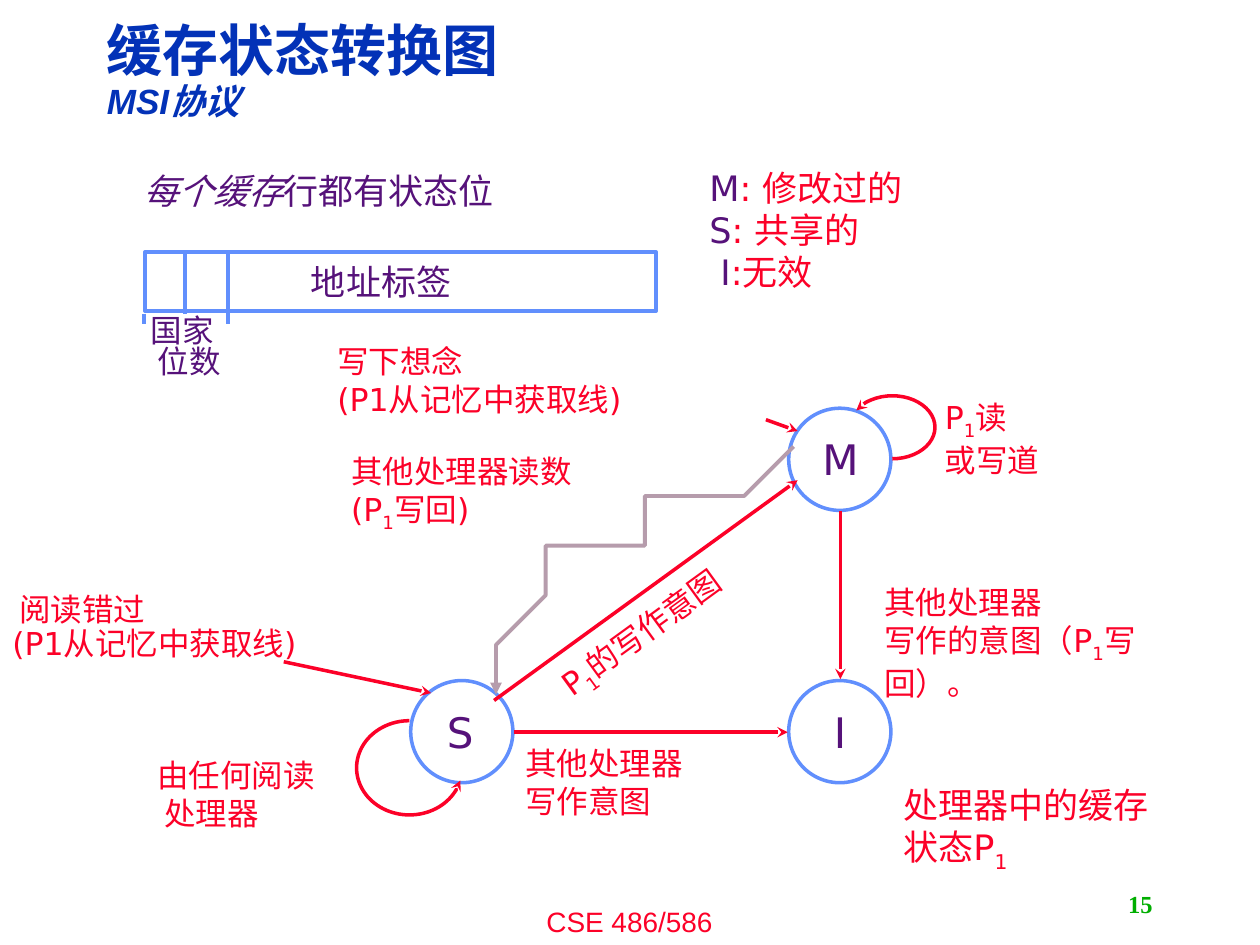
from dataclasses import dataclass
from typing import NamedTuple

from lxml.etree import SubElement
from pptx import Presentation
from pptx.dml.color import RGBColor
from pptx.enum.shapes import MSO_CONNECTOR as Connector, MSO_SHAPE as Shape
from pptx.enum.text import MSO_ANCHOR as Anchor, MSO_AUTO_SIZE as AutoSize, PP_ALIGN as Align
from pptx.oxml.ns import qn
from pptx.util import Cm, Pt

RED, PURPLE, BLUE, NAVY = "FC0128", "56127A", "618FFD", "0332B7"
GREEN, MAUVE, WHITE = "00AE00", "B69CAC", "FFFFFF"
BODY_FONT = "DejaVu Sans"
STATE_SIZE = 2.06


class Run(NamedTuple):
    text: str
    color: str = ""
    italic: bool = False
    subscript: bool = False


@dataclass
class Label:
    box: tuple[float, float, float, float]
    paragraphs: list[list[Run]]
    size: float = 18
    color: str = RED
    wrap: bool = False
    line_spacing: float = 1.0
    rotation: float = 0


@dataclass
class State:
    name: str
    left: float
    top: float
    label_box: tuple[float, float, float, float]


@dataclass
class Line:
    start: tuple[float, float]
    end: tuple[float, float]
    color: str = RED
    arrow: bool = True


@dataclass
class Loop:
    """Arc of an ellipse; angles run clockwise from the right, in degrees."""
    box: tuple[float, float, float, float]
    start_angle: float
    end_angle: float


def rgb(color: str) -> RGBColor:
    return RGBColor.from_string(color)


def plain(*lines: str) -> list[list[Run]]:
    return [[Run(line)] for line in lines]


def p1(before: str = "", after: str = "") -> list[Run]:
    """Runs that name processor P1 with a subscript, between two texts."""
    runs = [Run(before + "P"), Run("1", subscript=True)]
    return runs + [Run(after)] if after else runs


def add_text(slide, box, paragraphs, *, size=18, color=RED, font=BODY_FONT, bold=False,
             wrap=False, line_spacing=1.0, align=Align.LEFT, anchor=Anchor.TOP, rotation=0,
             grow=True):
    shape = slide.shapes.add_textbox(*map(Cm, box))
    shape.rotation = rotation
    frame = shape.text_frame
    frame.word_wrap = wrap
    frame.auto_size = AutoSize.SHAPE_TO_FIT_TEXT if grow else AutoSize.NONE
    frame.vertical_anchor = anchor
    for index, runs in enumerate(paragraphs):
        paragraph = frame.paragraphs[0] if index == 0 else frame.add_paragraph()
        paragraph.alignment = align
        paragraph.line_spacing = line_spacing
        for part in runs:
            run = paragraph.add_run()
            run.text = part.text
            run.font.name, run.font.size = font, Pt(size)
            run.font.bold, run.font.italic = bold, part.italic
            run.font.color.rgb = rgb(part.color or color)
            if part.subscript:
                run.font._element.set("baseline", "-25000")
    return shape


def style_line(shape, color: str, width: float = 2, arrow_end: str = "", arrow: str = "stealth"):
    """Set the outline; arrow_end is headEnd (at the start) or tailEnd (at the end)."""
    shape.line.color.rgb = rgb(color)
    shape.line.width = Pt(width)
    if arrow_end:
        SubElement(shape.line._get_or_add_ln(), qn(f"a:{arrow_end}"), type=arrow)


def add_line(slide, line: Line):
    connector = slide.shapes.add_connector(
        Connector.STRAIGHT, *map(Cm, line.start + line.end))
    style_line(connector, line.color, arrow_end="tailEnd" if line.arrow else "")
    SubElement(connector._element.spPr, qn("a:effectLst"))


def add_outlined(slide, kind, box):
    shape = slide.shapes.add_shape(kind, *map(Cm, box))
    shape.shadow.inherit = False
    shape.fill.solid()
    shape.fill.fore_color.rgb = rgb(WHITE)
    style_line(shape, BLUE)


def add_loop(slide, loop: Loop):
    arc = slide.shapes.add_shape(Shape.ARC, *map(Cm, loop.box))
    arc.shadow.inherit = False
    arc.fill.background()
    for index, angle in enumerate((loop.start_angle, loop.end_angle)):
        arc.adjustments[index] = angle * 0.6  # 60000 units a degree, scaled by 100000
    style_line(arc, RED, arrow_end="headEnd")


def bezier(points, steps: int = 16):
    """Points along a cubic curve, without its first."""
    for step in range(1, steps + 1):
        t = step / steps
        weights = ((1 - t) ** 3, 3 * t * (1 - t) ** 2, 3 * t * t * (1 - t), t ** 3)
        yield tuple(sum(w * p[axis] for w, p in zip(weights, points)) for axis in (0, 1))


def add_curve(slide, points):
    """Draw joined cubic curves, with an arrowhead at the first point."""
    builder = slide.shapes.build_freeform(*points[0], scale=Cm(1))
    for first in range(0, len(points) - 1, 3):
        builder.add_line_segments(list(bezier(points[first:first + 4])), close=False)
    curve = builder.convert_to_shape()
    curve.shadow.inherit = False
    curve.fill.background()
    style_line(curve, MAUVE, 2.25, "headEnd", "triangle")


def format_title(title):
    title.left, title.top, title.width, title.height = map(Cm, (1.9, 0.43, 20.27, 2.06))
    frame = title.text_frame
    frame.vertical_anchor = Anchor.MIDDLE
    frame.auto_size = AutoSize.NONE
    paragraph = frame.paragraphs[0]
    paragraph.alignment = Align.LEFT
    paragraph.line_spacing = 0.9
    for text, size, italic in (("缓存状态转换图", 32, False), ("MSI协议", 20, True)):
        if paragraph.runs:
            paragraph.add_line_break()
        run = paragraph.add_run()
        run.text = text
        run.font.name, run.font.size = "Arial", Pt(size)
        run.font.bold, run.font.italic = True, italic
        run.font.color.rgb = rgb(NAVY)


STATES = [
    State("M", 15.9, 8.23, (16.33, 8.61, 1.22, 1.27)),
    State("S", 8.28, 13.72, (8.76, 14.12, 1.09, 1.27)),
    State("I", 15.9, 13.72, (16.56, 14.12, 0.86, 1.27)),
]
LABELS = [
    Label((14.05, 3.23, 4.62, 2.79),
          [[Run("M", PURPLE), Run(": 修改过的")], [Run("S", PURPLE), Run(": 共享的")],
           [Run(" I", PURPLE), Run(":无效")]], 20),
    Label((2.64, 3.3, 11.15, 1.12), [[Run("每个缓存", italic=True), Run("行都有状态位")]],
          20, PURPLE),
    Label((6.02, 5.13, 4.72, 1.09), plain("地址标签"), 20, PURPLE),
    Label((2.79, 6.3, 2.11, 1.47), plain("国家", " 位数"), color=PURPLE, line_spacing=0.8),
    Label((6.55, 6.78, 9.53, 2.57), plain("写下想念", "(P1从记忆中获取线)"), wrap=True),
    Label((17.58, 11.63, 6.17, 2.57), plain("其他处理器") + [p1("写作的意图（", "写回）。")],
          wrap=True),
    Label((0, 11.86, 9.53, 1.65), plain(" 阅读错过", "(P1从记忆中获取线)"), wrap=True,
          line_spacing=0.9),
    Label((10.62, 11.76, 5.92, 1.02), [p1(after="的写作意图")], rotation=324),
    Label((10.34, 14.88, 5.61, 1.78), plain("其他处理器", "写作意图")),
    Label((2.92, 15.11, 4.5, 1.78), plain("由任何阅读", " 处理器")),
    Label((18.8, 7.9, 3.33, 1.78), [p1(after="读")] + plain("或写道")),
    Label((17.96, 15.67, 6.07, 1.96), [p1("处理器中的缓存状态")], 20, wrap=True),
    Label((6.83, 8.99, 7.67, 1.8), plain("其他处理器读数") + [p1("(", "写回)")]),
]
BIT_EDGES = (3.73, 4.6)
TAG_LINES = [Line((x, 5.05), (x, 6.32), BLUE, False) for x in BIT_EDGES]
TAG_LINES += [Line((x, 6.32), (x, 6.53), BLUE, False) for x in (2.9, BIT_EDGES[1])]
TRANSITIONS = [
    Line((15.44, 8.46), (16.08, 8.69)),
    Line((16.94, 10.31), (16.94, 13.69)),
    Line((5.72, 13.34), (8.69, 13.97)),
    Line((9.96, 14.12), (16.08, 9.68)),
    Line((10.36, 14.76), (15.88, 14.76)),
]
LOOPS = [Loop((7.19, 14.53, 2.13, 1.9), 14, 270), Loop((17.13, 7.98, 1.72, 1.27), 205, 90)]
WRITE_BACK = [(9.68, 13.79), (10.29, 12.78), (10.92, 11.76), (11.96, 11.0),
              (13.0, 10.26), (14.43, 9.8), (15.88, 9.35)]


def main():
    presentation = Presentation()
    presentation.slide_width, presentation.slide_height = Cm(25.4), Cm(19.05)
    slide = presentation.slides.add_slide(presentation.slide_layouts[5])
    format_title(slide.shapes.title)

    add_text(slide, (8.46, 18.11, 8.46, 0.94), plain("CSE 486/586"), size=16, font="Arial",
             wrap=True, align=Align.CENTER)
    add_text(slide, (18.21, 17.81, 5.28, 0.81), plain("15"), size=14, color=GREEN, bold=True,
             font="Times New Roman", align=Align.RIGHT, anchor=Anchor.MIDDLE, grow=False)

    for state in STATES:
        add_outlined(slide, Shape.OVAL, (state.left, state.top, STATE_SIZE, STATE_SIZE))
        add_text(slide, state.label_box, plain(state.name), size=24, color=PURPLE)
    add_outlined(slide, Shape.RECTANGLE, (2.92, 5.08, 10.31, 1.19))
    for line in TAG_LINES + TRANSITIONS:
        add_line(slide, line)
    for loop in LOOPS:
        add_loop(slide, loop)
    add_curve(slide, WRITE_BACK)
    for label in LABELS:
        add_text(slide, label.box, label.paragraphs, size=label.size, color=label.color,
                 wrap=label.wrap, line_spacing=label.line_spacing, rotation=label.rotation)
    presentation.save("out.pptx")


if __name__ == "__main__":
    main()
